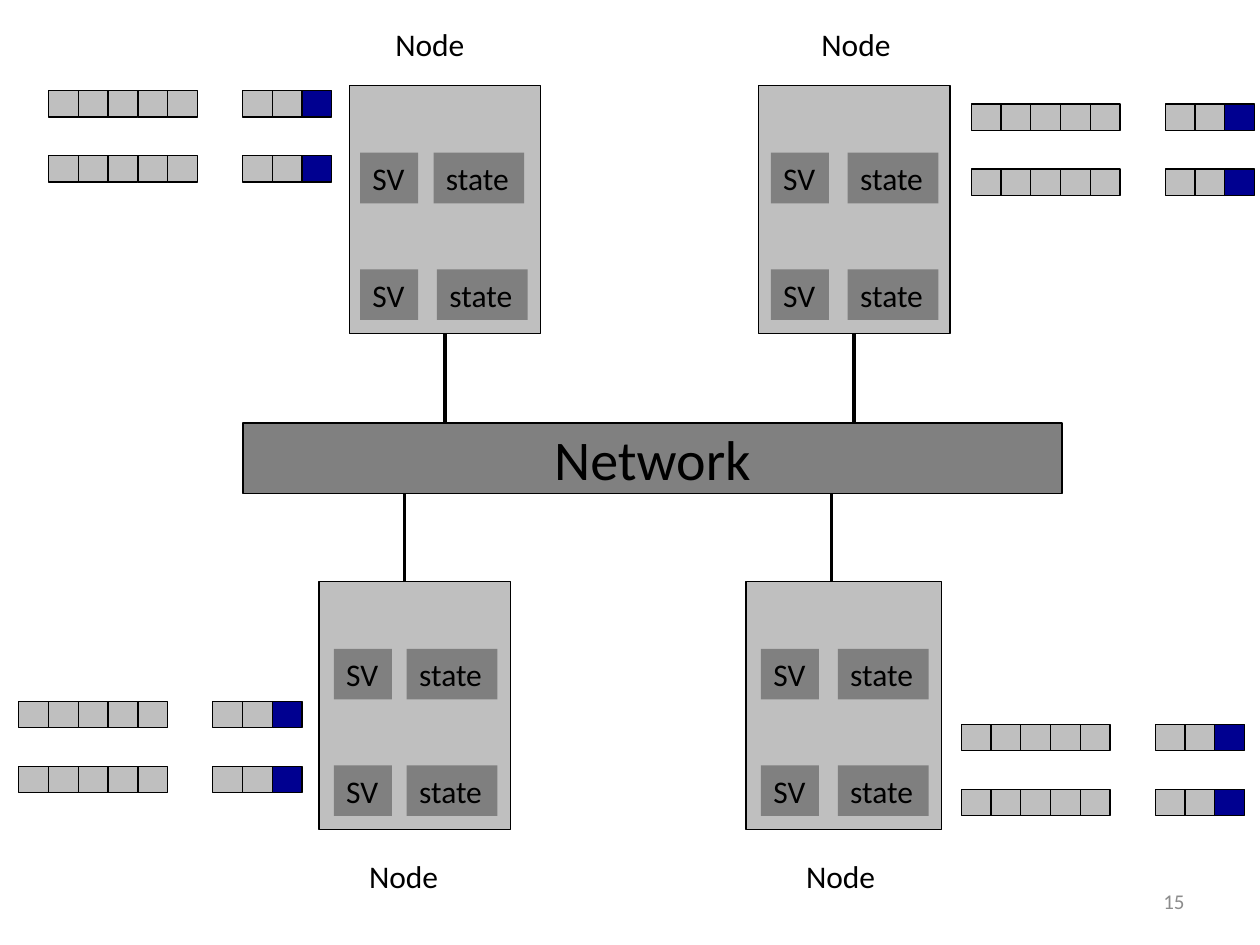
"""Build a slide of four nodes with queues, SV and state boxes, joined by a network."""
import pptx
import pptx.util
import pptx.dml.color
import pptx.enum.shapes
import pptx.enum.text
import pptx.oxml.ns
import lxml.etree

Cm, Pt = pptx.util.Cm, pptx.util.Pt
RGB = pptx.dml.color.RGBColor.from_string
ALIGN, ANCHOR = pptx.enum.text.PP_ALIGN, pptx.enum.text.MSO_ANCHOR
COLORS = {"black": "000000", "light": "BFBFBF", "mid": "808080",
          "state": "7F7F7F", "blue": "000090", "number": "8C8C8C"}

prs = pptx.Presentation()
prs.slide_width, prs.slide_height = Cm(25.4), Cm(19.05)
slide = prs.slides.add_slide(prs.slide_layouts[6])


def add_box(x, y, w, h, fill, outlined=True):
    sp = slide.shapes.add_shape(pptx.enum.shapes.MSO_SHAPE.RECTANGLE, Cm(x), Cm(y), Cm(w), Cm(h))
    sp.shadow.inherit = False
    sp.fill.solid()
    sp.fill.fore_color.rgb = RGB(COLORS[fill])
    if outlined:
        sp.line.color.rgb = RGB(COLORS["black"])
        sp.line.width = Pt(0.75)
    else:
        sp.line.fill.background()
    return sp


def set_text(sp, text, size=18, align=ALIGN.LEFT, anchor=ANCHOR.TOP, wrap=False, color="black"):
    tf = sp.text_frame
    tf.word_wrap = wrap
    tf.vertical_anchor = anchor
    if not wrap:
        tf.auto_size = pptx.enum.text.MSO_AUTO_SIZE.SHAPE_TO_FIT_TEXT
    p = tf.paragraphs[0]
    p.text = text
    p.alignment = align
    p.font.name = "Calibri"
    p.font.size = Pt(size)
    p.font.color.rgb = RGB(COLORS[color])


number = slide.shapes.add_textbox(Cm(18.2), Cm(17.65), Cm(5.93), Cm(1.02))
set_text(number, "15", 12, ALIGN.RIGHT, ANCHOR.MIDDLE, True, "number")

network = add_box(4.9, 8.53, 16.51, 1.42, "mid")
set_text(network, "Network", 32, ALIGN.CENTER, ANCHOR.MIDDLE, True)

nodes = [
    {"box": (15.29, 1.73, 3.86), "label": (16.31, 0.38), "sv": 15.54,
     "states": (17.09, 17.09), "queue": (19.58, 2.1), "link": 17.22},
    {"box": (7.04, 1.73, 3.86), "label": (7.72, 0.38), "sv": 7.26,
     "states": (8.74, 8.81), "queue": (0.98, 1.83), "link": 8.97},
    {"box": (15.04, 11.73, 3.94), "label": (16, 17.15), "sv": 15.34,
     "states": (16.89, 16.89), "queue": (19.38, 14.6), "link": 16.76},
    {"box": (6.43, 11.73, 3.86), "label": (7.19, 17.15), "sv": 6.73,
     "states": (8.2, 8.2), "queue": (0.38, 14.14), "link": 8.15},
]
cell_w, cell_h, row_gap = 0.6, 0.53, 1.31
cell_offsets = [i * cell_w for i in range(5)] + [3.91 + i * cell_w for i in range(3)]

for node in nodes:
    x, y, w = node["box"]
    box = add_box(x, y, w, 5, "light")
    label_x, label_y = node["label"]
    label = slide.shapes.add_textbox(Cm(label_x), Cm(label_y), Cm(1.93), Cm(1.02))
    set_text(label, "Node")

    queue_x, queue_y = node["queue"]
    for row, state_x in enumerate(node["states"]):
        row_y = y + 1.35 + row * 2.35
        set_text(add_box(node["sv"], row_y, 1.17, 1.02, "mid", False), "SV")
        set_text(add_box(state_x, row_y, 1.83, 1.02, "state", False), "state")
        for offset in cell_offsets:
            fill = "blue" if offset == cell_offsets[-1] else "light"
            add_box(queue_x + offset, queue_y + row * row_gap, cell_w, cell_h, fill)

    above = y < 8.53
    start, end = (y + 5, 8.53) if above else (9.95, y)
    link = slide.shapes.add_connector(pptx.enum.shapes.MSO_CONNECTOR.STRAIGHT,
                                      Cm(node["link"]), Cm(start), Cm(node["link"]), Cm(end))
    if above:
        link.begin_connect(box, 2)
    link.line.color.rgb = RGB(COLORS["black"])
    link.line.width = Pt(2)
    lxml.etree.SubElement(link.element.spPr, pptx.oxml.ns.qn("a:effectLst"))

prs.save("out.pptx")
